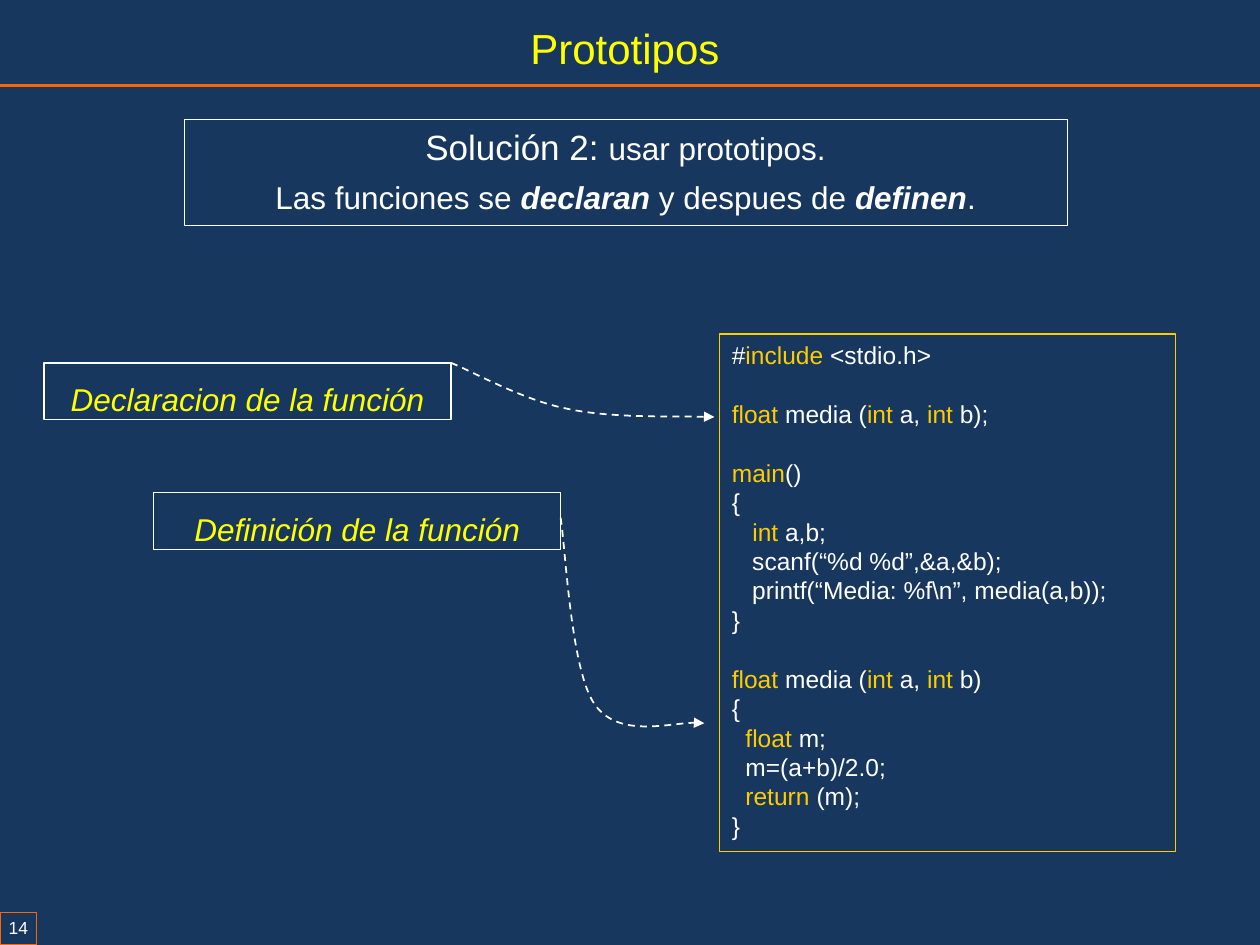
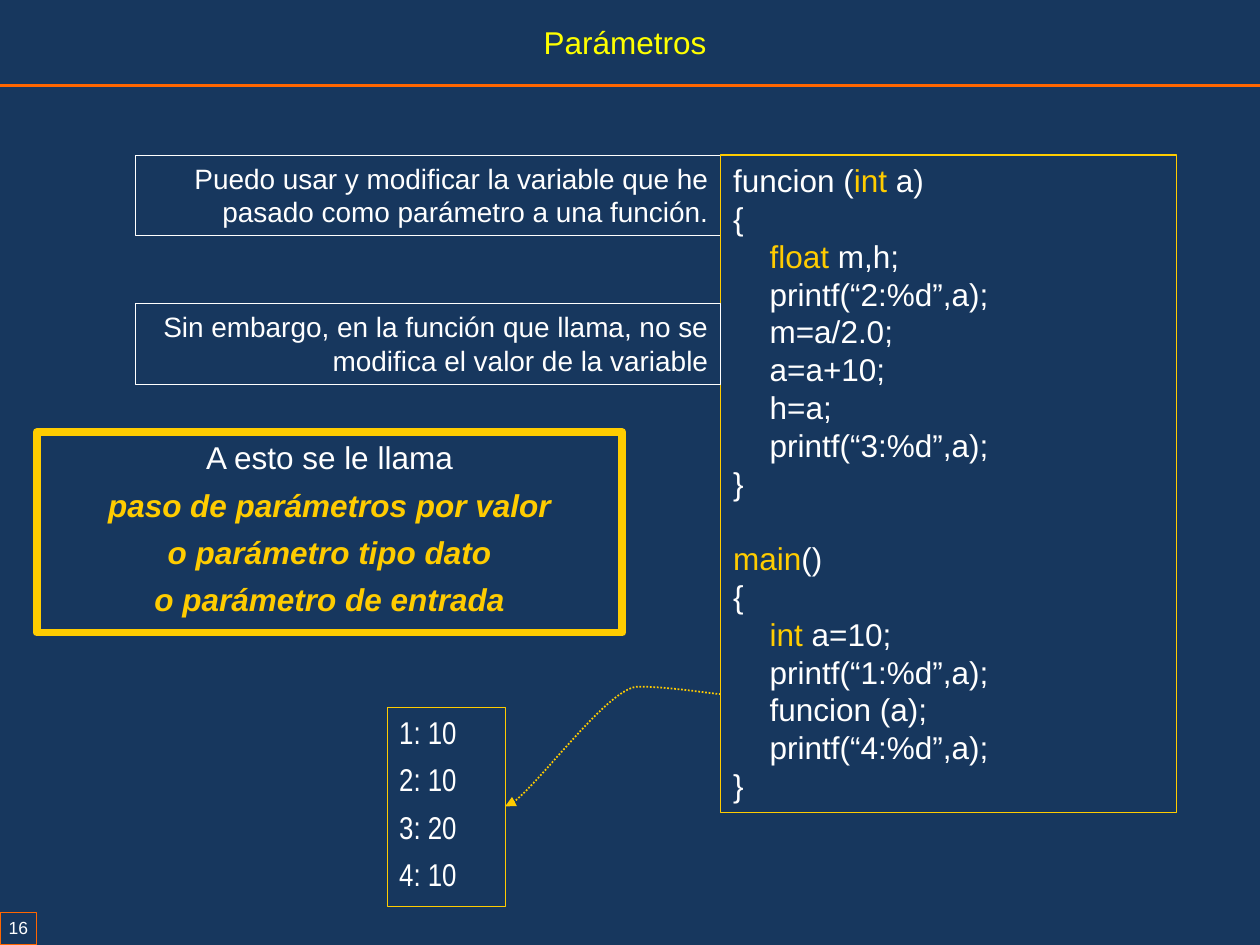
from dataclasses import dataclass, field

from lxml import etree
from pptx import Presentation
from pptx.dml.color import RGBColor
from pptx.enum.dml import MSO_LINE
from pptx.enum.shapes import MSO_CONNECTOR, MSO_SHAPE
from pptx.enum.text import MSO_ANCHOR, MSO_AUTO_SIZE, PP_ALIGN
from pptx.oxml.ns import qn
from pptx.util import Inches, Pt

LEFT, CENTER, RIGHT = PP_ALIGN.LEFT, PP_ALIGN.CENTER, PP_ALIGN.RIGHT
DASH, DOT = MSO_LINE.DASH, MSO_LINE.ROUND_DOT
RECTANGLE, STRAIGHT = MSO_SHAPE.RECTANGLE, MSO_CONNECTOR.STRAIGHT
TOP, FIXED = MSO_ANCHOR.TOP, MSO_AUTO_SIZE.NONE
TITLE_ONLY = 5
COLUMNS, ROWS = 100, 75
SLIDE_WIDTH, SLIDE_HEIGHT = Inches(10), Inches(7.5)
MARK = "|"


@dataclass(frozen=True)
class Theme:
    background: str = "17375E"
    text: str = "FFFFFF"
    title: str = "FFFF00"
    accent: str = "FFCC00"
    band: str = "FF6600"
    font: str = "Arial"
    narrow_font: str = "Arial Narrow"
    title_size: int = 24
    lead_size: int = 20
    body_size: int = 18
    note_size: int = 16
    code_size: int = 14
    number_size: int = 10
    leading: float = 1.2
    paragraph_gap: float = 0.3
    hairline: float = 0.25
    thin: float = 0.75
    curve: float = 1
    rule: float = 2
    heavy: float = 4.5


THEME = Theme()


@dataclass(frozen=True)
class Ink:
    size: float = THEME.body_size
    color: str = THEME.text
    bold: bool = False
    italic: bool = False
    font: str = THEME.font


@dataclass(frozen=True)
class Line:
    text: str
    plain: Ink = Ink()
    marked: Ink = Ink(color=THEME.accent)
    align: PP_ALIGN = LEFT
    gap: float = THEME.paragraph_gap
    before: float = 0
    indent: float = 0
    stretch: float = 0


@dataclass(frozen=True)
class Frame:
    col: float
    row: float
    cols: float
    rows: float


@dataclass(frozen=True)
class Panel:
    frame: Frame
    lines: list[Line]
    border: str = THEME.text
    weight: float = THEME.hairline


@dataclass(frozen=True)
class Arrow:
    points: list[tuple[float, float]]
    color: str
    dash: MSO_LINE


@dataclass(frozen=True)
class Page:
    number: int
    title: str
    title_size: int
    panels: list[Panel]
    arrows: list[Arrow] = field(default_factory=list)


def across(columns: float) -> int:
    return round(SLIDE_WIDTH * columns / COLUMNS)


def down(rows: float) -> int:
    return round(SLIDE_HEIGHT * rows / ROWS)


def bounds(frame: Frame) -> tuple[int, int, int, int]:
    return across(frame.col), down(frame.row), across(frame.cols), down(frame.rows)


def stroke(line, color: str, weight: float) -> None:
    line.color.rgb = RGBColor.from_string(color)
    line.width = Pt(weight)


def write(text_frame, lines: list[Line]) -> None:
    text_frame.word_wrap = True
    text_frame.auto_size = FIXED
    text_frame.vertical_anchor = TOP
    for index, line in enumerate(lines):
        paragraph = text_frame.paragraphs[0] if index == 0 else text_frame.add_paragraph()
        paragraph.alignment = line.align
        paragraph.line_spacing = line.stretch or Pt(line.plain.size * THEME.leading)
        paragraph.space_before = Pt(line.before)
        paragraph.space_after = Pt(line.plain.size * line.gap)
        if line.indent:
            properties = paragraph._p.get_or_add_pPr()
            properties.set("marL", str(across(line.indent)))
            properties.set("indent", "0")
        for position, part in enumerate(line.text.split(MARK)):
            if not part:
                continue
            run = paragraph.add_run()
            run.text = part
            ink = line.marked if position % 2 else line.plain
            run.font.name = ink.font
            run.font.size = Pt(ink.size)
            run.font.bold = ink.bold
            run.font.italic = ink.italic
            run.font.color.rgb = RGBColor.from_string(ink.color)


def draw_panel(slide, panel: Panel):
    box = slide.shapes.add_shape(RECTANGLE, *bounds(panel.frame))
    box.shadow.inherit = False
    box.fill.background()
    stroke(box.line, panel.border, panel.weight)
    write(box.text_frame, panel.lines)
    return box


def draw_arrow(slide, arrow: Arrow) -> None:
    start, *others = [(across(col), down(row)) for col, row in arrow.points]
    builder = slide.shapes.build_freeform(*start)
    builder.add_line_segments(others, close=False)
    curve = builder.convert_to_shape()
    curve.shadow.inherit = False
    curve.fill.background()
    stroke(curve.line, arrow.color, THEME.curve)
    curve.line.dash_style = arrow.dash
    segments = list(curve._element.iter(qn("a:lnTo")))
    for first in range(0, len(segments), 3):
        bezier = etree.Element(qn("a:cubicBezTo"))
        segments[first].addprevious(bezier)
        for segment in segments[first:first + 3]:
            bezier.append(segment[0])
            segment.getparent().remove(segment)
    head = etree.SubElement(curve.line._get_or_add_ln(), qn("a:tailEnd"))
    head.set("type", "triangle")


def draw_frame(slide, page: Page) -> None:
    title = slide.shapes.title
    title.left, title.top, title.width, title.height = bounds(Frame(12.2, 1.3, 74.8, 5))
    write(title.text_frame, [Line(page.title, Ink(page.title_size, THEME.title), align=CENTER)])

    rule = slide.shapes.add_connector(STRAIGHT, 0, down(6.8), SLIDE_WIDTH, down(6.8))
    stroke(rule.line, THEME.band, THEME.rule)
    etree.SubElement(rule._element.spPr, qn("a:effectLst"))

    number_line = Line(str(page.number), Ink(THEME.number_size), align=CENTER)
    number = draw_panel(slide, Panel(Frame(0, 72.4, 2.9, 2.6), [number_line], THEME.band, THEME.thin))
    number.text_frame.word_wrap = False
    number.text_frame.margin_left = number.text_frame.margin_right = across(0.2)
    number.text_frame.margin_top = number.text_frame.margin_bottom = down(0.4)


def code_lines(source: str, size: float) -> list[Line]:
    lines, before = [], 0
    for text in source.strip("\n").split("\n"):
        if not text:
            before = size * THEME.leading
            continue
        indent = 2.9 if text.startswith("\t") else 0
        lines.append(Line(text.lstrip("\t"), Ink(size), Ink(size, THEME.accent),
                          gap=0, before=before, indent=indent))
        before = 0
    return lines


def code_panel(frame: Frame, source: str, size: float) -> Panel:
    return Panel(frame, code_lines(source, size), THEME.accent, THEME.thin)


def label(col: float, row: float, text: str) -> Panel:
    ink = Ink(color=THEME.title, italic=True)
    return Panel(Frame(col, row, 32.3, 4.5), [Line(text, ink, align=CENTER, stretch=1.3)],
                 weight=THEME.thin)


def note(row: float, text: str) -> Panel:
    return Panel(Frame(10.7, row, 46.5, 6.4), [Line(text, Ink(THEME.note_size), align=RIGHT)])


PROTOTYPE_CODE = r"""
#|include| <stdio.h>

|float| media (|int| a, |int| b);

|main|()
{
   |int |a,b;
   scanf(“%d %d”,&a,&b);
   printf(“Media: %f\n”, media(a,b));
}

|float| media (|int| a, |int| b)
{
  |float |m;
  m=(a+b)/2.0;
|  return |(m);
}
"""

PARAMETER_CODE = """
funcion (|int| a)
{
\t|float| m,h;
\tprintf(“2:%d”,a);
\tm=a/2.0;
\ta=a+10;
\th=a;
\tprintf(“3:%d”,a);
}

|main|()
{
\t|int| a=10;
\tprintf(“1:%d”,a);
\tfuncion (a);
\tprintf(“4:%d”,a);
}
"""

STRONG = Ink(bold=True, italic=True)
KEY_TERM = Ink(color=THEME.accent, bold=True, italic=True)
OUTPUT = Ink(font=THEME.narrow_font)

PAGES = [
    Page(14, "Prototipos", THEME.title_size, [
        Panel(Frame(14.6, 9.5, 70.1, 8.4), [
            Line("Solución 2: |usar prototipos.", Ink(THEME.lead_size), Ink(), CENTER),
            Line("Las funciones se |declaran| y despues de |definen|.", Ink(), STRONG, CENTER),
        ]),
        code_panel(Frame(57.1, 26.5, 36.2, 41.1), PROTOTYPE_CODE, THEME.code_size),
        label(3.5, 28.8, "Declaracion de la función"),
        label(12.2, 39.1, "Definición de la función"),
    ], [
        Arrow([(35.8, 28.8), (37.3, 29.4), (41.4, 31.7), (44.8, 32.4),
               (48.3, 33.2), (54.2, 33), (56.7, 33.1)], THEME.text, DASH),
        Arrow([(44.5, 41.1), (44.9, 43.6), (45.3, 53.2), (47.2, 55.9),
               (49.1, 58.6), (54.1, 57.1), (55.9, 57.4)], THEME.text, DASH),
    ]),
    Page(16, "Parámetros", THEME.body_size, [
        note(12.3, "Puedo usar y modificar la variable que he pasado como parámetro a una función."),
        code_panel(Frame(57.2, 12.3, 36.2, 52.2), PARAMETER_CODE, THEME.body_size),
        note(24.1, "Sin embargo, en la función que llama, no se modifica el valor de la variable"),
        Panel(Frame(30.7, 56.1, 9.4, 15.8),
              [Line(f"{step}: {value}", OUTPUT) for step, value in enumerate((10, 10, 20, 10), 1)],
              THEME.accent),
        Panel(Frame(2.9, 34.3, 46.5, 15.9), [
            Line("A esto se le llama", align=CENTER),
            *(Line(term, KEY_TERM, align=CENTER) for term in (
                "paso de parámetros por valor", "o parámetro tipo dato", "o parámetro de entrada")),
        ], THEME.accent, THEME.heavy),
    ], [
        Arrow([(57.2, 55.1), (56.1, 55), (53, 54.5), (50.7, 54.5),
               (48.4, 54.4), (41.6, 63.9), (40.1, 64)], THEME.accent, DOT),
    ]),
]


def main() -> None:
    deck = Presentation()
    deck.slide_width, deck.slide_height = SLIDE_WIDTH, SLIDE_HEIGHT
    backdrop = deck.slide_master.background.fill
    backdrop.solid()
    backdrop.fore_color.rgb = RGBColor.from_string(THEME.background)
    for page in PAGES:
        slide = deck.slides.add_slide(deck.slide_layouts[TITLE_ONLY])
        draw_frame(slide, page)
        for panel in page.panels:
            draw_panel(slide, panel)
        for arrow in page.arrows:
            draw_arrow(slide, arrow)
    deck.save("out.pptx")


if __name__ == "__main__":
    main()
